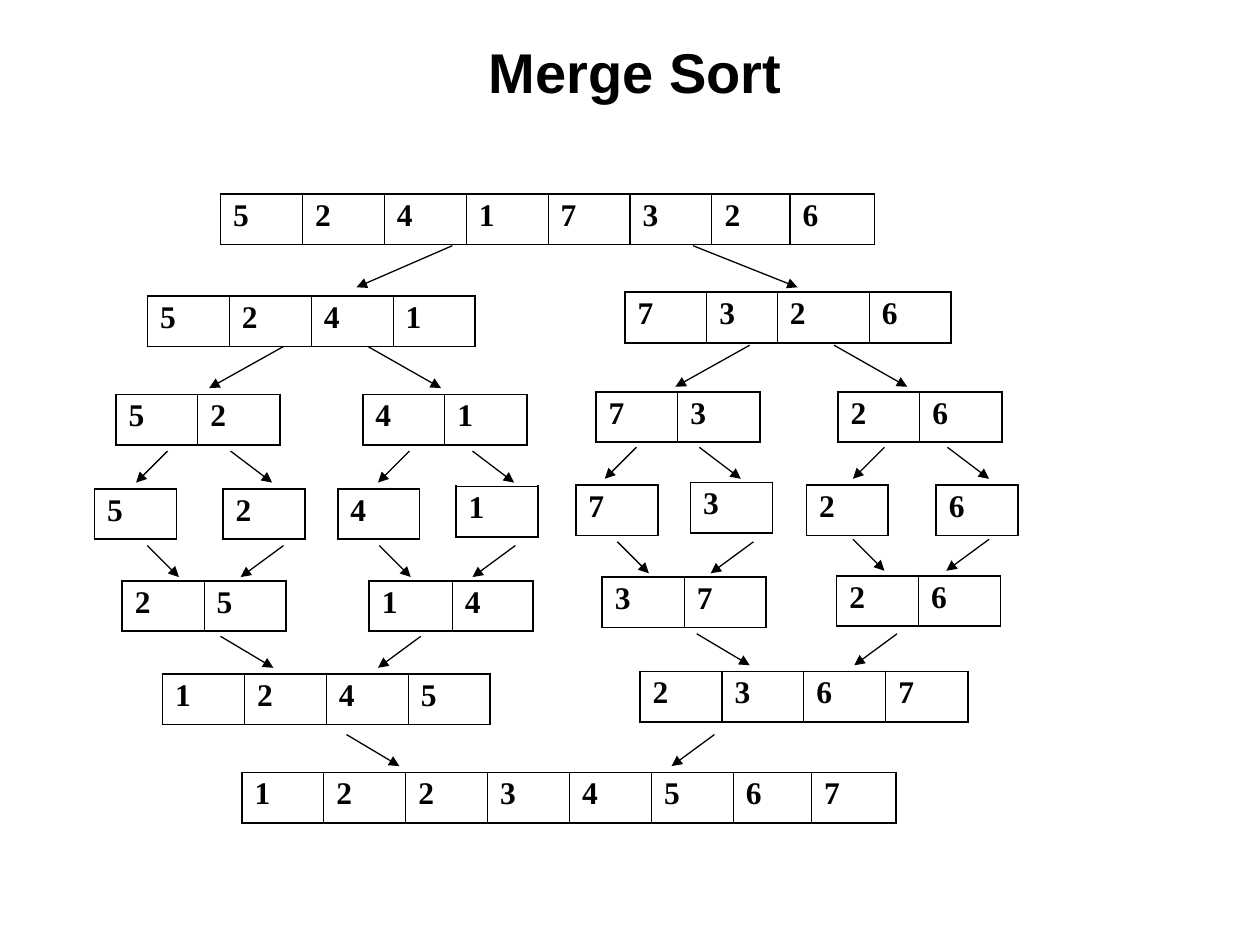
from pptx import Presentation
from pptx.dml.color import RGBColor
from pptx.enum.shapes import MSO_CONNECTOR, MSO_SHAPE
from pptx.enum.text import MSO_ANCHOR, MSO_AUTO_SIZE, PP_ALIGN
from pptx.oxml.ns import qn
from pptx.util import Inches, Pt
from lxml.etree import SubElement

BLACK, WHITE = "000000", "FFFFFF"
CELL_WIDTH, CELL_HEIGHT = 0.65, 0.4
OUTER_BORDER, INNER_BORDER = 1.08, 0.75
FULL_WIDTHS = [CELL_WIDTH] * 6 + [0.62, 0.67]

# (left, top, values, column widths where they are not all equal)
ARRAYS = [
    (1.75, 1.54, "52417326", FULL_WIDTHS),
    (1.17, 2.35, "5241", None),
    (4.96, 2.32, "7326", [0.65, 0.56, 0.73, 0.65]),
    (0.92, 3.13, "52", None),
    (2.88, 3.13, "41", None),
    (4.73, 3.11, "73", None),
    (6.65, 3.11, "26", None),
    (0.75, 3.88, "5", None),
    (1.77, 3.88, "2", None),
    (2.68, 3.88, "4", None),
    (3.62, 3.86, "1", None),
    (4.57, 3.85, "7", None),
    (5.48, 3.83, "3", None),
    (6.40, 3.85, "2", None),
    (7.43, 3.85, "6", None),
    (0.97, 4.61, "25", None),
    (2.93, 4.61, "14", [0.66, 0.64]),
    (4.78, 4.58, "37", None),
    (6.64, 4.57, "26", None),
    (1.29, 5.35, "1245", None),
    (5.08, 5.33, "2367", None),
    (1.92, 6.13, "12234567", FULL_WIDTHS),
]

# (left arrow end, right arrow start, right arrow end, drop), from the left arrow's start
ARROW_STEPS = [
    ((-0.76, 1.91, 2.74, 0.33), [(3.59, 1.95)]),
    ((-0.59, 0.67, 1.25, 0.33), [(2.25, 2.75), (5.95, 2.74)]),
    ((-0.25, 0.50, 0.83, 0.25),
     [(1.33, 3.58), (3.25, 3.58), (5.05, 3.55), (7.02, 3.55)]),
    ((0.25, 1.08, 0.74, 0.25),
     [(1.17, 4.33), (3.01, 4.33), (4.90, 4.30), (6.77, 4.28)]),
    ((0.42, 1.59, 1.25, 0.25), [(1.75, 5.05), (5.53, 5.03)]),
    ((0.42, 2.92, 2.58, 0.25), [(2.75, 5.83)]),
]


def color(value):
    return RGBColor.from_string(value)


def add_run(paragraph, text, font_name, size):
    run = paragraph.add_run()
    run.text = text
    run.font.name = font_name
    run.font.size = Pt(size)
    run.font.bold = True
    run.font.color.rgb = color(BLACK)


def add_title(slide, left, top, width, height):
    title = slide.shapes.add_shape(
        MSO_SHAPE.RECTANGLE, Inches(left), Inches(top), Inches(width), Inches(height))
    title.shadow.inherit = False
    title.fill.solid()
    title.fill.fore_color.rgb = color(WHITE)
    title.line.fill.background()
    frame = title.text_frame
    frame.word_wrap = True
    frame.auto_size = MSO_AUTO_SIZE.SHAPE_TO_FIT_TEXT
    frame.vertical_anchor = MSO_ANCHOR.TOP
    paragraph = frame.paragraphs[0]
    paragraph.alignment = PP_ALIGN.CENTER
    properties = paragraph._p.get_or_add_pPr()
    properties.set("marL", str(Inches(0.5)))
    properties.set("indent", str(Inches(-0.5)))
    add_run(paragraph, "Merge Sort", "Arial", 32)


def set_borders(cell, is_first, is_last):
    """Draw the array's outline heavier than the lines between its cells."""
    weights = {
        "a:lnL": OUTER_BORDER if is_first else INNER_BORDER,
        "a:lnR": OUTER_BORDER if is_last else INNER_BORDER,
        "a:lnT": OUTER_BORDER,
        "a:lnB": OUTER_BORDER,
    }
    properties = cell._tc.get_or_add_tcPr()
    for position, (tag, weight) in enumerate(weights.items()):
        border = SubElement(properties, qn(tag), w=str(Pt(weight)))
        fill = SubElement(border, qn("a:solidFill"))
        SubElement(fill, qn("a:srgbClr"), val=BLACK)
        properties.insert(position, border)


def add_array(slide, left, top, values, widths):
    widths = widths or [CELL_WIDTH] * len(values)
    table = slide.shapes.add_table(
        1, len(values), Inches(left), Inches(top),
        Inches(sum(widths)), Inches(CELL_HEIGHT)).table
    table.first_row = False
    table.horz_banding = False
    for index, (value, width) in enumerate(zip(values, widths)):
        table.columns[index].width = Inches(width)
        cell = table.cell(0, index)
        cell.fill.background()
        set_borders(cell, index == 0, index == len(values) - 1)
        paragraph = cell.text_frame.paragraphs[0]
        paragraph.line_spacing = 0.93
        add_run(paragraph, value, "Times New Roman", 18)


def add_arrow(slide, start_x, start_y, end_x, end_y):
    arrow = slide.shapes.add_connector(
        MSO_CONNECTOR.STRAIGHT, Inches(start_x), Inches(start_y),
        Inches(end_x), Inches(end_y))
    arrow.line.color.rgb = color(BLACK)
    arrow.line.width = Pt(0.75)
    SubElement(arrow.line._get_or_add_ln(), qn("a:tailEnd"), type="triangle")
    SubElement(arrow._element.spPr, qn("a:effectLst"))


def add_arrow_pair(slide, left, top, step):
    left_end, right_start, right_end, drop = step
    add_arrow(slide, left, top, left + left_end, top + drop)
    add_arrow(slide, left + right_start, top, left + right_end, top + drop)


def main():
    presentation = Presentation()
    presentation.slide_width = Inches(10)
    presentation.slide_height = Inches(7.5)
    slide = presentation.slides.add_slide(presentation.slide_layouts[6])
    add_title(slide, 0.33, 0.25, 9.42, 0.64)
    for left, top, values, widths in ARRAYS:
        add_array(slide, left, top, values, widths)
    for step, starts in ARROW_STEPS:
        for left, top in starts:
            add_arrow_pair(slide, left, top, step)
    presentation.save("out.pptx")


if __name__ == "__main__":
    main()
